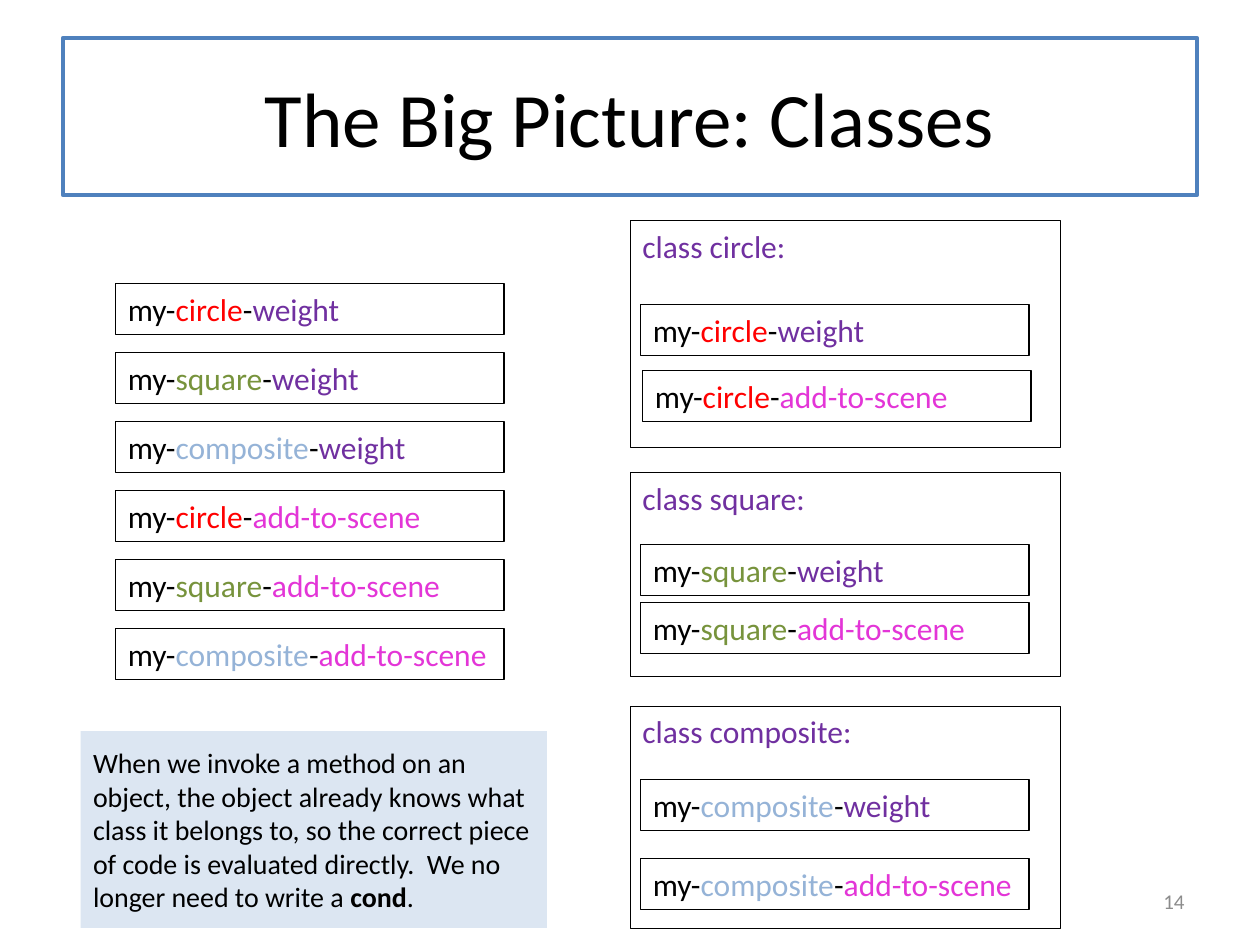
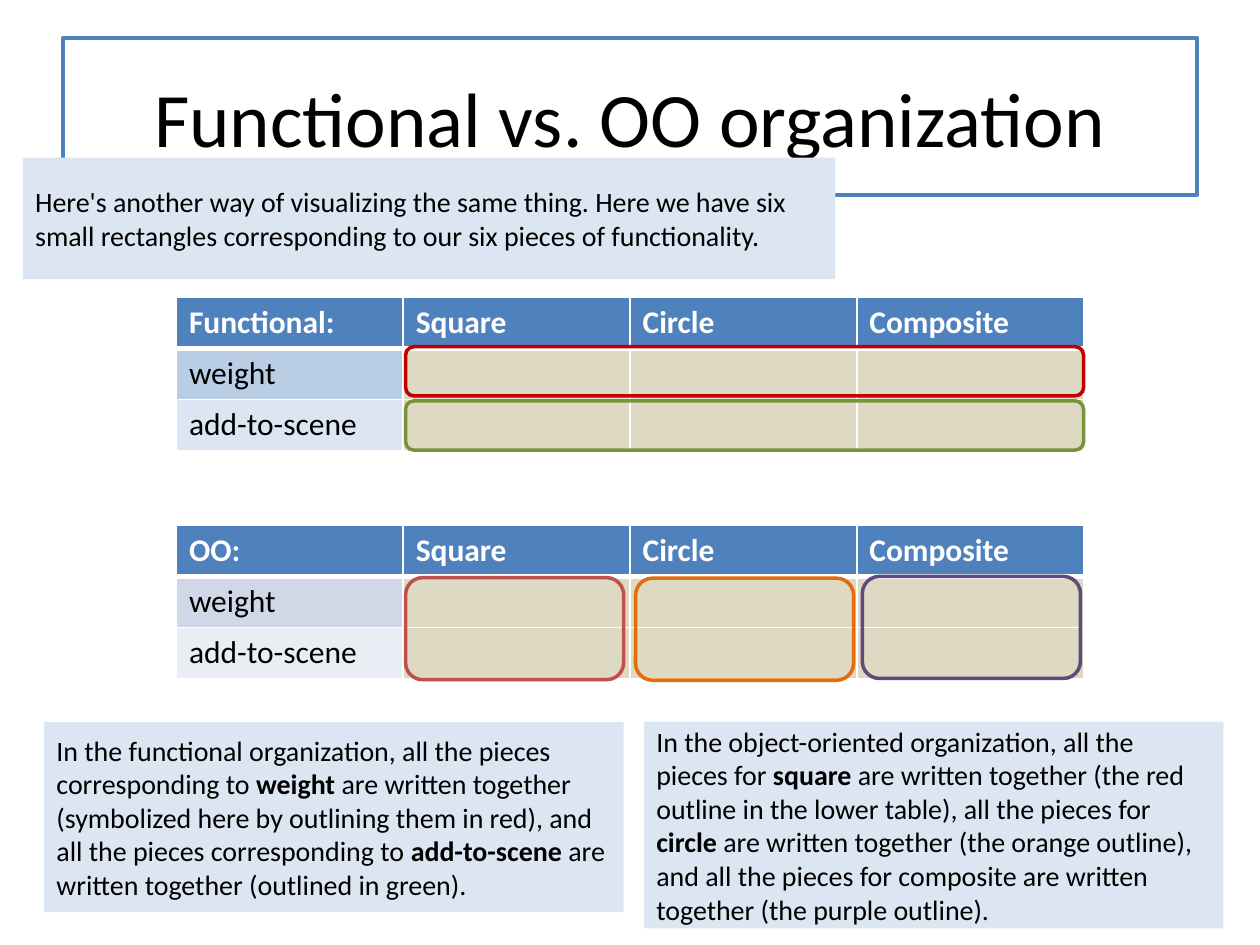
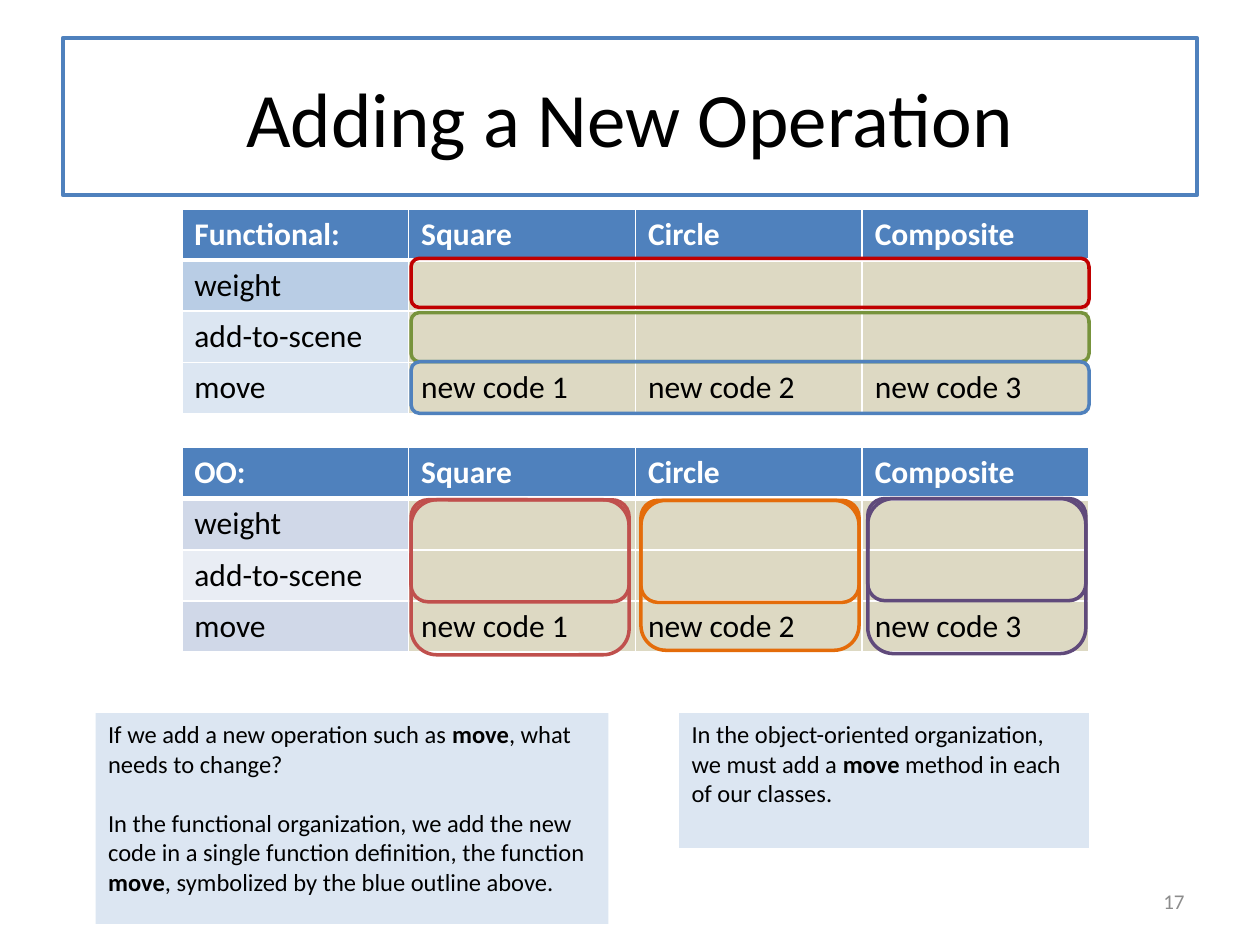
"""Build three slides comparing functional and object-oriented organization."""
import pptx
import pptx.dml.color
import pptx.enum.shapes
import pptx.enum.text
import pptx.oxml.ns
import pptx.util
from lxml import etree

Pt = pptx.util.Pt
SHAPES = pptx.enum.shapes.MSO_SHAPE
ANCHOR = pptx.enum.text.MSO_ANCHOR
ALIGN = pptx.enum.text.PP_ALIGN

FONT = "Calibri"
COLOURS = {
    "black": "000000", "white": "FFFFFF", "blue": "4F81BD", "note": "DCE6F2",
    "number": "8C8C8C", "purple": "7030A0", "pink": "E335D7", "red": "FF0000",
    "olive": "77933C", "sky": "95B3D7", "code": "DDD9C3", "dark red": "C00000",
    "brick": "C0504D", "orange": "E46C0A", "violet": "604A7B",
    "functional dark": "B9CDE5", "functional light": "DCE6F2",
    "oo dark": "D0D8E8", "oo light": "E9EDF4",
}
TITLE_BOX = (36, 21.6, 648, 90)
NUMBER_BOX = (516, 500.5, 168, 28.8)

CLASS_COLOURS = {"circle": "red", "square": "olive", "composite": "sky"}
OPERATION_COLOURS = {"weight": "purple", "add-to-scene": "pink"}
METHOD_SIZE = (222, 29.1)
METHOD_LIST = {"left": 66, "top": 162, "step": 39.45}
CLASS_LEFT, CLASS_WIDTH = 360, 246
CLASSES = [
    ("circle", 126, 129.6, 150, [(6, 174), (7.2, 211.7)]),
    ("square", 270, 116.6, 198, [(6, 311.1), (6, 344.3)]),
    ("composite", 403.5, 127.2, 198, [(6, 445.4), (6, 490.6)]),
]

HEADINGS = ["Square", "Circle", "Composite"]
OPERATIONS = ["weight", "add-to-scene", "move"]
NEW_CODE = ["new code 1", "new code 2", "new code 3"]
COLUMN_WIDTH, ROW_HEIGHT = 129.6, 29.25
BANDS = {
    "Functional:": ["functional dark", "functional light", "functional light"],
    "OO:": ["oo dark", "oo light", "oo dark"],
}
ROW_OUTLINES = [("dark red", 28.2, 28.1), ("olive", 59.2, 28.1), ("blue", 87.3, 29.5)]
COLUMN_OUTLINES = [
    ("brick", 131, 29.9, 88.6), ("orange", 262.4, 30.2, 85.7), ("violet", 392, 29.2, 88.6),
]
OUTLINE_LEFT, ROW_OUTLINE_WIDTH = 131, 387.4
COLUMN_OUTLINE_WIDTH, SHORT_OUTLINE_HEIGHT = 124.6, 58.3

CLASSES_NOTE = (
    (46.1, 417.8, 266.4, 112.5),
    ["When we invoke a method on an object, the object already knows what class it belongs to, "
     "so the correct piece of code is evaluated directly.  We no longer need to write a **cond**."],
)
ORGANIZATION_NOTES = [
    ((13, 90, 464.4, 69.6),
     ["Here's another way of visualizing the same thing. Here we have six small rectangles "
      "corresponding to our six pieces of functionality."]),
    ((25.2, 412.6, 331.2, 108.6),
     ["In the functional organization, all the pieces corresponding to **weight** are written "
      "together (symbolized here by outlining them in red), and all the pieces corresponding to "
      "**add-to-scene** are written together (outlined in green)."]),
    ((368, 412.4, 331.2, 118.1),
     ["In the object-oriented organization, all the pieces for **square** are written together "
      "(the red outline in the lower table), all the pieces for **circle** are written together "
      "(the orange outline), and all the pieces for composite are written together "
      "(the purple outline)."]),
]
OPERATION_NOTES = [
    ((54.7, 407.5, 293, 120.4),
     ["If we add a new operation such as **move**, what needs to change?",
      "In the functional organization, we add the new code in a single function definition, "
      "the function **move**, symbolized by the blue outline above."]),
    ((388.1, 407.5, 234.2, 77),
     ["In the object-oriented organization, we must add a **move** method in each of our classes."]),
]


def rgb(name):
    """Return the named colour."""
    return pptx.dml.color.RGBColor.from_string(COLOURS[name])


def split_runs(text, colour, bold):
    """Turn text with **bold** marks into runs."""
    return [(part, colour, bold or index % 2 == 1)
            for index, part in enumerate(text.split("**")) if part]


def write(frame, paragraphs, size=18, colour="black", bold=False, align=ALIGN.LEFT,
          anchor=ANCHOR.TOP, gap=0):
    """Write paragraphs, each a marked string or a list of runs, into a text frame."""
    frame.word_wrap = True
    frame.vertical_anchor = anchor
    for index, content in enumerate(paragraphs):
        paragraph = frame.add_paragraph() if index else frame.paragraphs[0]
        paragraph.alignment = align
        if index and gap:
            paragraph.space_before = Pt(gap)
        runs = split_runs(content, colour, bold) if isinstance(content, str) else content
        for text, run_colour, run_bold in runs:
            run = paragraph.add_run()
            run.text = text
            run.font.name = FONT
            run.font.size = Pt(size)
            run.font.bold = run_bold
            run.font.color.rgb = rgb(run_colour)


def add_box(slide, box, fill=None, line=None, width=0.75, kind=SHAPES.RECTANGLE):
    """Add a preset shape and return it."""
    shape = slide.shapes.add_shape(kind, *map(Pt, box))
    shape.shadow.inherit = False
    if fill:
        shape.fill.solid()
        shape.fill.fore_color.rgb = rgb(fill)
    else:
        shape.fill.background()
    if line:
        shape.line.color.rgb = rgb(line)
        shape.line.width = Pt(width)
    else:
        shape.line.fill.background()
    return shape


def add_label(slide, box, text, **text_format):
    """Add a plain text box."""
    write(slide.shapes.add_textbox(*map(Pt, box)).text_frame, [text], **text_format)


def add_note(slide, box, paragraphs, **text_format):
    """Add a pale blue note."""
    write(add_box(slide, box, fill="note").text_frame, paragraphs, **text_format)


def add_slide(presentation, title, number=None):
    """Add a slide with its framed title and optional number."""
    slide = presentation.slides.add_slide(presentation.slide_layouts[6])
    frame = add_box(slide, TITLE_BOX, "white", "blue", 2.25).text_frame
    write(frame, [title], size=44, align=ALIGN.CENTER, anchor=ANCHOR.MIDDLE)
    if number:
        add_label(slide, NUMBER_BOX, number, size=12, colour="number",
                  align=ALIGN.RIGHT, anchor=ANCHOR.MIDDLE)
    return slide


def add_method(slide, left, top, class_name, operation):
    """Add a framed method name with coloured parts."""
    runs = [("my-", "black", False), (class_name, CLASS_COLOURS[class_name], False),
            ("-", "black", False), (operation, OPERATION_COLOURS[operation], False)]
    write(add_box(slide, (left, top, *METHOD_SIZE), line="black").text_frame, [runs])


def set_borders(cell, top, bottom):
    """Give a cell white borders."""
    properties = cell._tc.get_or_add_tcPr()
    for side, width in (("L", 1), ("R", 1), ("T", top), ("B", bottom)):
        line = etree.SubElement(properties, pptx.oxml.ns.qn("a:ln" + side), w=str(Pt(width)))
        fill = etree.SubElement(line, pptx.oxml.ns.qn("a:solidFill"))
        etree.SubElement(fill, pptx.oxml.ns.qn("a:srgbClr"), val=COLOURS["white"])


def add_grid(slide, left, top, corner, operations):
    """Add a table of operations by class."""
    rows = [[corner] + HEADINGS]
    rows += [[name] + (NEW_CODE if name == "move" else [""] * 3) for name in operations]
    columns = len(rows[0])
    table = slide.shapes.add_table(len(rows), columns, Pt(left), Pt(top), Pt(COLUMN_WIDTH * columns),
                                   Pt(ROW_HEIGHT * len(rows))).table
    table.first_row = table.horz_banding = False
    for column in table.columns:
        column.width = Pt(COLUMN_WIDTH)
    for i, row in enumerate(rows):
        table.rows[i].height = Pt(ROW_HEIGHT)
        for j, text in enumerate(row):
            cell = table.cell(i, j)
            set_borders(cell, 3 if i == 1 else 1, 3 if i == 0 else 1)
            cell.fill.solid()
            fill = "blue" if i == 0 else "code" if j else BANDS[corner][i - 1]
            cell.fill.fore_color.rgb = rgb(fill)
            write(cell.text_frame, [text], colour="black" if i else "white", bold=i == 0)


def add_outline(slide, box, colour):
    """Add a rounded outline."""
    add_box(slide, box, line=colour, width=2, kind=SHAPES.ROUNDED_RECTANGLE)


def outline_rows(slide, left, top, count):
    """Outline the code of each operation."""
    for colour, offset, height in ROW_OUTLINES[:count]:
        add_outline(slide, (left + OUTLINE_LEFT, top + offset, ROW_OUTLINE_WIDTH, height), colour)


def outline_columns(slide, left, top, extended=False):
    """Outline the code of each class, short or extended by the new operation."""
    for colour, x, y, tall in COLUMN_OUTLINES:
        height = tall if extended else SHORT_OUTLINE_HEIGHT
        add_outline(slide, (left + x, top + y, COLUMN_OUTLINE_WIDTH, height), colour)


def build_classes(presentation):
    """Build the slide that groups methods into classes."""
    slide = add_slide(presentation, "The Big Picture: Classes", "14")
    methods = [(name, operation) for operation in OPERATION_COLOURS for name in CLASS_COLOURS]
    for index, method in enumerate(methods):
        add_method(slide, METHOD_LIST["left"],
                   METHOD_LIST["top"] + index * METHOD_LIST["step"], *method)
    for name, top, height, label_width, places in CLASSES:
        add_box(slide, (CLASS_LEFT, top, CLASS_WIDTH, height), line="black", width=0.5)
        add_label(slide, (CLASS_LEFT, top, label_width, METHOD_SIZE[1]), f"class {name}:",
                  colour="purple")
        for operation, (indent, method_top) in zip(OPERATION_COLOURS, places):
            add_method(slide, CLASS_LEFT + indent, method_top, name, operation)
    add_note(slide, *CLASSES_NOTE, size=16, anchor=ANCHOR.MIDDLE)


def build_organization(presentation):
    """Build the slide that compares both organizations."""
    slide = add_slide(presentation, "Functional vs. OO organization")
    left, functional_top, oo_top = 100.8, 169.9, 300.2
    add_grid(slide, left, functional_top, "Functional:", OPERATIONS[:2])
    add_grid(slide, left, oo_top, "OO:", OPERATIONS[:2])
    for box, paragraphs in ORGANIZATION_NOTES:
        add_note(slide, box, paragraphs, size=16, anchor=ANCHOR.MIDDLE)
    outline_rows(slide, left, functional_top, 2)
    outline_columns(slide, left, oo_top)


def build_operation(presentation):
    """Build the slide that adds an operation."""
    slide = add_slide(presentation, "Adding a New Operation", "17")
    left, functional_top, oo_top = 103.9, 119.4, 255.7
    add_grid(slide, left, functional_top, "Functional:", OPERATIONS)
    outline_rows(slide, left, functional_top, 3)
    add_grid(slide, left, oo_top, "OO:", OPERATIONS)
    for extended in (False, True):
        outline_columns(slide, left, oo_top, extended)
    for box, paragraphs in OPERATION_NOTES:
        add_note(slide, box, paragraphs, size=14, gap=17)


def main():
    """Build and save the presentation."""
    presentation = pptx.Presentation()
    presentation.slide_width, presentation.slide_height = Pt(720), Pt(540)
    build_classes(presentation)
    build_organization(presentation)
    build_operation(presentation)
    presentation.save("out.pptx")


if __name__ == "__main__":
    main()
